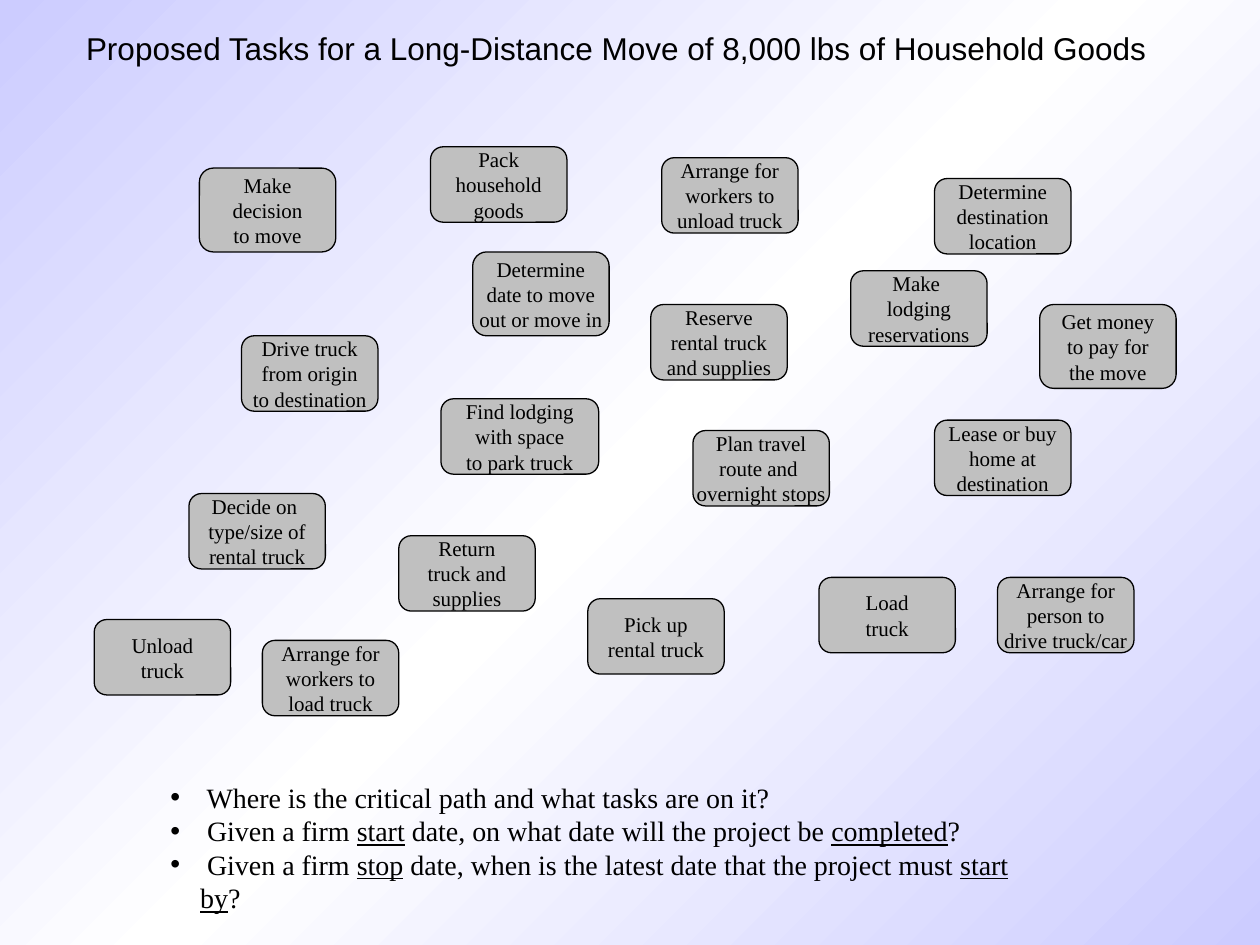
"""Build a slide of scattered moving tasks with scheduling questions below."""
from copy import deepcopy
from dataclasses import dataclass
from typing import Any, NamedTuple

from pptx import Presentation
from pptx.dml.color import RGBColor
from pptx.enum.shapes import MSO_SHAPE
from pptx.enum.text import MSO_ANCHOR, MSO_AUTO_SIZE, PP_ALIGN
from pptx.oxml.ns import qn
from pptx.util import Cm, Pt

ROUNDED = MSO_SHAPE.ROUNDED_RECTANGLE
TOP, MIDDLE = MSO_ANCHOR.TOP, MSO_ANCHOR.MIDDLE
GROW, FIXED = MSO_AUTO_SIZE.SHAPE_TO_FIT_TEXT, MSO_AUTO_SIZE.NONE
LEFT, CENTER = PP_ALIGN.LEFT, PP_ALIGN.CENTER


@dataclass(frozen=True)
class Theme:
    ink: RGBColor = RGBColor(0, 0, 0)
    card: RGBColor = RGBColor(0xC0, 0xC0, 0xC0)
    edge: RGBColor = RGBColor(0xCC, 0xCC, 0xFF)
    center: RGBColor = RGBColor(0xFF, 0xFF, 0xFF)
    heading_font: str = "Arial"
    text_font: str = "Times New Roman"
    heading_size: int = 18
    question_size: int = 16
    task_size: int = 12


class Task(NamedTuple):
    left: float
    top: float
    lines: tuple[str, ...]
    width: float = 2.75
    height: float = 1.52


class Span(NamedTuple):
    text: str
    underline: bool = False


THEME = Theme()
TITLE = "Proposed Tasks for a Long-Distance Move of 8,000 lbs of Household Goods"
TASKS = (
    Task(4.02, 3.39, ("Make", "decision", "to move"), height=1.69),
    Task(8.68, 2.96, ("Pack", "household", "goods")),
    Task(13.34, 3.18, ("Arrange for", "workers to", "unload truck")),
    Task(18.84, 3.6, ("Determine", "destination", "location")),
    Task(9.53, 5.08, ("Determine", "date to move", "out or move in"), height=1.69),
    Task(17.15, 5.46, ("Make ", "lodging", "reservations")),
    Task(13.12, 6.14, ("Reserve", "rental truck", "and supplies")),
    Task(20.96, 6.14, ("Get money", "to pay for", "the move"), height=1.69),
    Task(4.87, 6.77, ("Drive truck", "from origin", "to destination")),
    Task(8.89, 8.04, ("Find lodging", "with space", "to park truck"), width=3.18),
    Task(18.84, 8.47, ("Lease or buy", "home at", "destination")),
    Task(13.97, 8.68, ("Plan travel", "route and ", "overnight stops")),
    Task(3.81, 9.95, ("Decide on ", "type/size of", "rental truck")),
    Task(8.04, 10.8, ("Return", "truck and", "supplies")),
    Task(16.51, 11.64, ("Load", "truck")),
    Task(20.11, 11.64, ("Arrange for", "person to", "drive truck/car")),
    Task(11.85, 12.07, ("Pick up", "rental truck")),
    Task(1.9, 12.49, ("Unload", "truck")),
    Task(5.29, 12.91, ("Arrange for", "workers to", "load truck")),
)
QUESTIONS = (
    (Span(" Where is the critical path and what tasks are on it?"),),
    (Span(" Given a firm "), Span("start", True),
     Span(" date, on what date will the project be "),
     Span("completed", True), Span("?")),
    (Span(" Given a firm "), Span("stop", True),
     Span(" date, when is the latest date that the project must "),
     Span("start by", True), Span("?")),
)


def apply(target: Any, values: dict[str, Any]) -> None:
    """Set each named attribute on the target."""
    for name, value in values.items():
        setattr(target, name, value)


def place(box: Any, left: float, top: float, width: float, height: float) -> None:
    """Move and size a box in centimetres."""
    apply(box, {"left": Cm(left), "top": Cm(top),
                "width": Cm(width), "height": Cm(height)})


def write(frame: Any, paragraphs: Any, font: str, size: int, align: Any) -> None:
    """Fill a text frame with paragraphs of formatted spans."""
    for index, spans in enumerate(paragraphs):
        para = frame.add_paragraph() if index else frame.paragraphs[0]
        apply(para, {"alignment": align, "space_before": Pt(0)})
        for span in spans:
            run = para.add_run()
            run.text = span.text
            apply(run.font, {"name": font, "size": Pt(size)})
            run.font.color.rgb = THEME.ink
            if span.underline:
                run.font.underline = True


def paint_background(page: Any) -> None:
    """Give the page a diagonal three-stop gradient."""
    fill = page.background.fill
    fill.gradient()
    fill.gradient_angle = 135
    stop_list = page.element.find(".//" + qn("a:gsLst"))
    stop_list.append(deepcopy(stop_list[0]))
    colors = (THEME.edge, THEME.center, THEME.edge)
    for index, (stop, color) in enumerate(zip(fill.gradient_stops, colors)):
        stop.position = index / 2
        stop.color.rgb = color


def add_title(page: Any) -> None:
    """Write the heading in the title placeholder."""
    box = page.shapes.title
    place(box, 1.48, 0.46, 21.97, 1.02)
    apply(box.text_frame, {"word_wrap": False, "auto_size": GROW,
                           "vertical_anchor": TOP})
    write(box.text_frame, ((Span(TITLE),),), THEME.heading_font,
          THEME.heading_size, LEFT)


def add_task(page: Any, task: Task) -> None:
    """Draw one rounded task card."""
    box = page.shapes.add_shape(ROUNDED, 0, 0, 0, 0)
    place(box, task.left, task.top, task.width, task.height)
    box.shadow.inherit = False
    box.fill.solid()
    box.fill.fore_color.rgb = THEME.card
    box.line.color.rgb = THEME.ink
    box.line.width = Pt(0.75)
    apply(box.text_frame, {"word_wrap": False, "auto_size": FIXED,
                           "vertical_anchor": MIDDLE})
    write(box.text_frame, [(Span(line),) for line in task.lines],
          THEME.text_font, THEME.task_size, CENTER)


def add_questions(page: Any) -> None:
    """Write the bulleted questions in the body placeholder."""
    box = page.placeholders[1]
    place(box, 3.18, 15.6, 17.93, 2.29)
    apply(box.text_frame, {"word_wrap": True, "auto_size": GROW,
                           "vertical_anchor": TOP})
    write(box.text_frame, QUESTIONS, THEME.text_font, THEME.question_size, LEFT)
    for para in box.text_frame.paragraphs:
        properties = para._p.get_or_add_pPr()
        properties.set("marL", str(Cm(0.6)))
        properties.set("indent", str(Cm(-0.6)))


def main() -> None:
    """Build and save the deck."""
    deck = Presentation()
    apply(deck, {"slide_width": Cm(25.4), "slide_height": Cm(19.05)})
    page = deck.slides.add_slide(deck.slide_layouts[1])
    paint_background(page)
    add_title(page)
    for task in TASKS:
        add_task(page, task)
    add_questions(page)
    deck.save("out.pptx")


if __name__ == "__main__":
    main()
